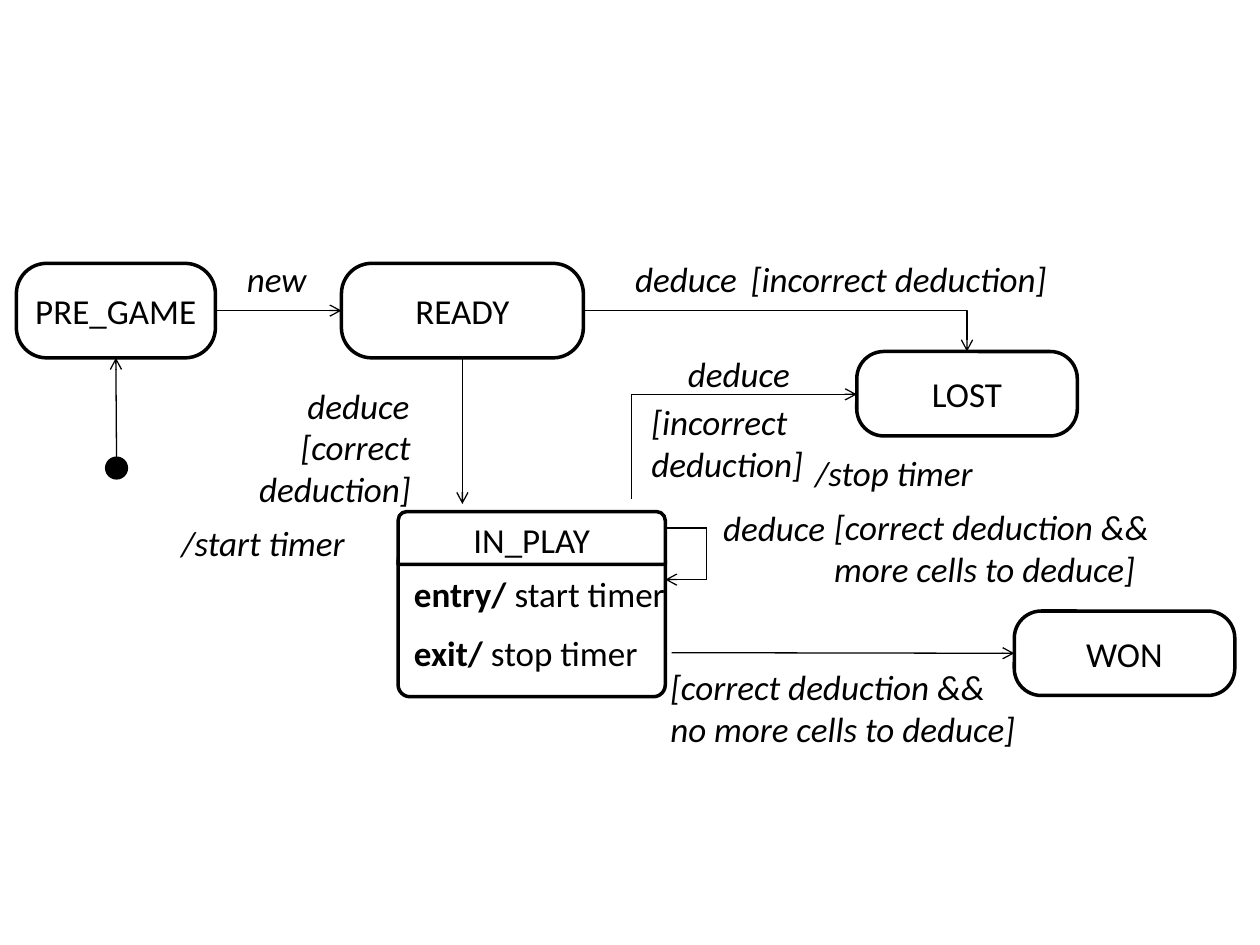
import dataclasses

import lxml.etree
import pptx
import pptx.dml.color
import pptx.enum.shapes
import pptx.enum.text
import pptx.oxml.ns
import pptx.util

Inches = pptx.util.Inches
Pt = pptx.util.Pt
qn = pptx.oxml.ns.qn
SHAPES = pptx.enum.shapes.MSO_SHAPE
CONNECTORS = pptx.enum.shapes.MSO_CONNECTOR
ALIGN = pptx.enum.text.PP_ALIGN
ANCHOR = pptx.enum.text.MSO_ANCHOR
TOP, LEFT, BOTTOM, RIGHT = range(4)


@dataclasses.dataclass(frozen=True)
class Theme:
    ink: pptx.dml.color.RGBColor = pptx.dml.color.RGBColor(0, 0, 0)
    paper: pptx.dml.color.RGBColor = pptx.dml.color.RGBColor(255, 255, 255)
    font: str = "Calibri"
    text_size: float = 20
    action_gap: float = 10
    border: float = 2
    arrow: float = 0.75
    corner: float = 0.32


class StateDiagram:
    """Draws the states, transitions and labels of a state machine on one page."""

    def __init__(self, page, theme):
        self.page = page
        self.theme = theme

    def span(self, para, text, **extra):
        span = para.add_run()
        span.text = text
        values = {"name": self.theme.font, "size": Pt(self.theme.text_size), **extra}
        for name, value in values.items():
            setattr(span.font, name, value)
        span.font.color.rgb = self.theme.ink

    def outline(self, kind, place, fill, width):
        shape = self.page.shapes.add_shape(kind, *map(Inches, place))
        shape.shadow.inherit = False
        shape.fill.solid()
        shape.fill.fore_color.rgb = fill
        shape.line.color.rgb = self.theme.ink
        shape.line.width = Pt(width)
        return shape

    def start_dot(self, place):
        return self.outline(SHAPES.OVAL, place, self.theme.ink, 1)

    def framed(self, place, kind, corner):
        shape = self.outline(kind, place, self.theme.paper, self.theme.border)
        if corner is not None:
            shape.adjustments[0] = corner
        shape.text_frame.word_wrap = False
        shape.text_frame.vertical_anchor = ANCHOR.MIDDLE
        return shape

    def state(self, name, place, kind=SHAPES.ROUNDED_RECTANGLE, corner=Theme.corner):
        shape = self.framed(place, kind, corner)
        para = shape.text_frame.paragraphs[0]
        para.alignment = ALIGN.CENTER
        self.span(para, name)
        return shape

    def actions(self, place, entries):
        shape = self.framed(place, SHAPES.ROUNDED_RECTANGLE, 0.08)
        for index, (trigger, action) in enumerate(entries):
            if index:
                para = shape.text_frame.add_paragraph()
                para.space_before = Pt(self.theme.action_gap)
            else:
                para = shape.text_frame.paragraphs[0]
            para.alignment = ALIGN.LEFT
            self.span(para, trigger + " ", bold=True)
            self.span(para, action, bold=False)

    def label(self, text, place, alignment=ALIGN.LEFT):
        box = self.page.shapes.add_textbox(*map(Inches, place))
        values = {
            "word_wrap": True,
            "margin_left": 0,
            "margin_top": 0,
            "margin_right": 0,
            "margin_bottom": 0,
        }
        for name, value in values.items():
            setattr(box.text_frame, name, value)
        para = box.text_frame.paragraphs[0]
        para.alignment = alignment
        self.span(para, text, italic=True)

    def transition(self, begin, end, arrow="tailEnd", source=None, target=None, bent=False):
        kind = CONNECTORS.ELBOW if bent else CONNECTORS.STRAIGHT
        line = self.page.shapes.add_connector(kind, *map(Inches, begin + end))
        line.line.color.rgb = self.theme.ink
        line.line.width = Pt(self.theme.arrow)
        properties = line._element.spPr
        if bent:
            properties.find(qn("a:prstGeom")).set("prst", "bentConnector2")
        if arrow:
            stroke = properties.find(qn("a:ln"))
            lxml.etree.SubElement(stroke, qn("a:" + arrow), type="arrow")
        lxml.etree.SubElement(properties, qn("a:effectLst"))
        if source:
            line.begin_connect(*source)
        if target:
            line.end_connect(*target)


def main():
    deck = pptx.Presentation()
    deck.slide_width, deck.slide_height = Inches(10), Inches(7.5)
    page = deck.slides.add_slide(deck.slide_layouts[6])
    diagram = StateDiagram(page, Theme())

    diagram.actions(
        (3.16, 4.36, 2.12, 1.17),
        [("entry/", "start timer"), ("exit/", "stop timer")],
    )
    start = diagram.start_dot((0.84, 3.63, 0.17, 0.17))
    pre_game = diagram.state("PRE_GAME", (0.13, 2.09, 1.58, 0.75))
    ready = diagram.state("READY", (2.71, 2.09, 1.92, 0.75))
    lost = diagram.state("LOST", (6.8, 2.79, 1.75, 0.67))
    won = diagram.state("WON", (8.05, 4.85, 1.75, 0.67))
    diagram.state("IN_PLAY", (3.16, 4.06, 2.12, 0.42), SHAPES.ROUND_2_SAME_RECTANGLE, None)

    diagram.transition((0.92, 3.63), (0.92, 2.84), source=(start, TOP), target=(pre_game, BOTTOM))
    diagram.transition((1.71, 2.46), (2.71, 2.46), source=(pre_game, RIGHT), target=(ready, LEFT))
    diagram.transition((3.67, 2.84), (3.67, 4), source=(ready, BOTTOM))
    diagram.transition((5.33, 5.18), (8.05, 5.18), target=(won, LEFT))
    diagram.transition(
        (4.63, 2.46), (7.67, 2.79), source=(ready, RIGHT), target=(lost, TOP), bent=True
    )
    diagram.transition((6.8, 3.13), (5.01, 3.96), arrow="headEnd", bent=True)

    side, loop, leave, enter = 5.28, 5.61, 4.19, 4.6
    diagram.transition((side, leave), (loop, leave), arrow=None)
    diagram.transition((loop, leave), (loop, enter), arrow=None)
    diagram.transition((loop, enter), (side, enter))

    for left, top in [(5.04, 2.04), (2.44, 3.05), (5.46, 2.8), (5.74, 4.02)]:
        diagram.label("deduce", (left, top, 0.83, 0.34))
    for text, place in [
        ("new", (1.96, 2.04, 0.75, 0.34)),
        ("[incorrect deduction]", (5.96, 2.04, 2.95, 0.34)),
        ("[incorrect deduction]", (5.17, 3.18, 1.83, 0.67)),
        ("[correct deduction && no more cells to deduce]", (5.32, 5.28, 2.74, 0.67)),
        ("[correct deduction && more cells to deduce]", (6.62, 4.01, 2.58, 0.67)),
        ("/start timer", (1.44, 4.14, 1.55, 0.34)),
        ("/stop timer", (6.47, 3.58, 1.55, 0.34)),
    ]:
        diagram.label(text, place)
    diagram.label("[correct deduction]", (1.62, 3.38, 1.64, 0.67), ALIGN.RIGHT)

    deck.save("out.pptx")


if __name__ == "__main__":
    main()
